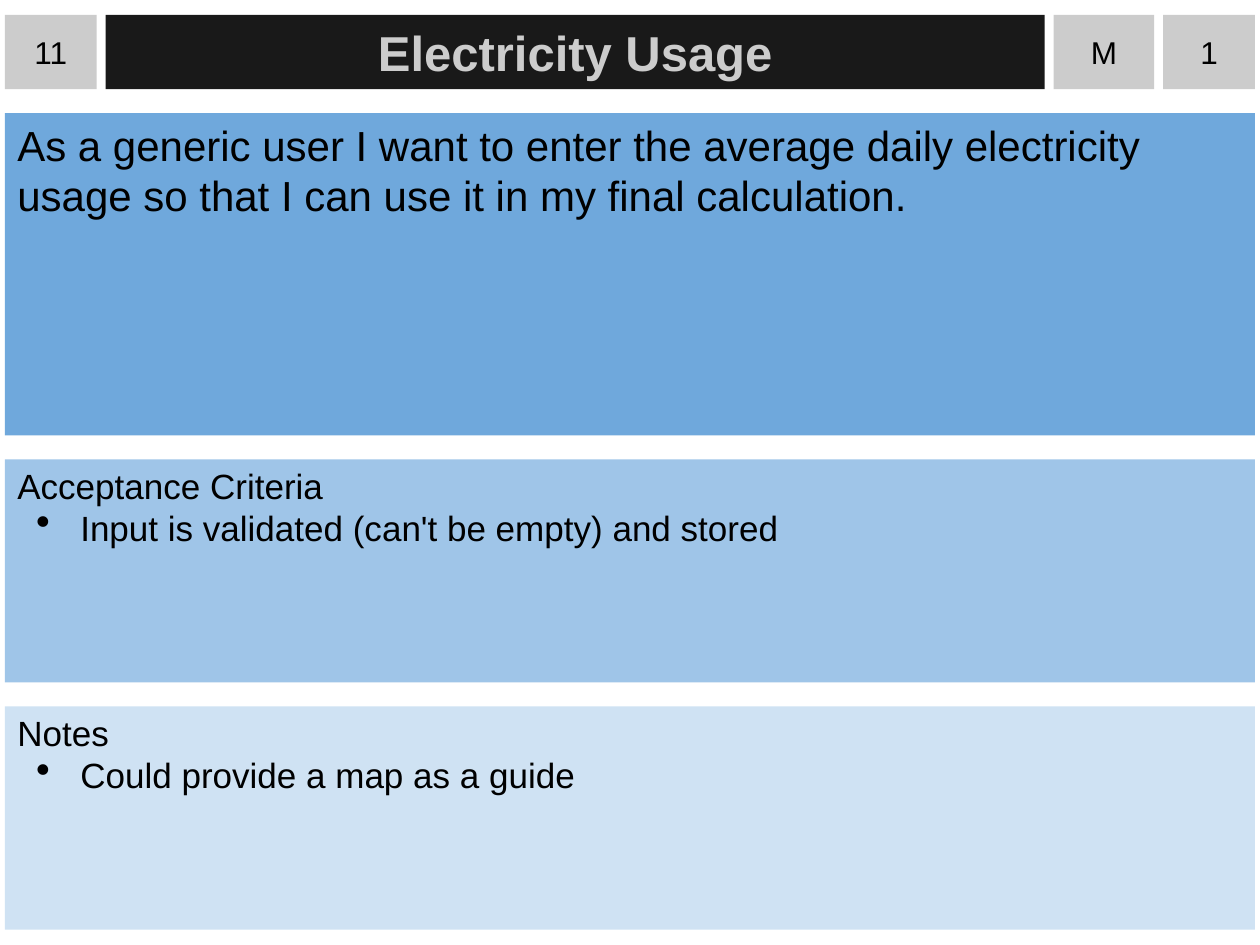
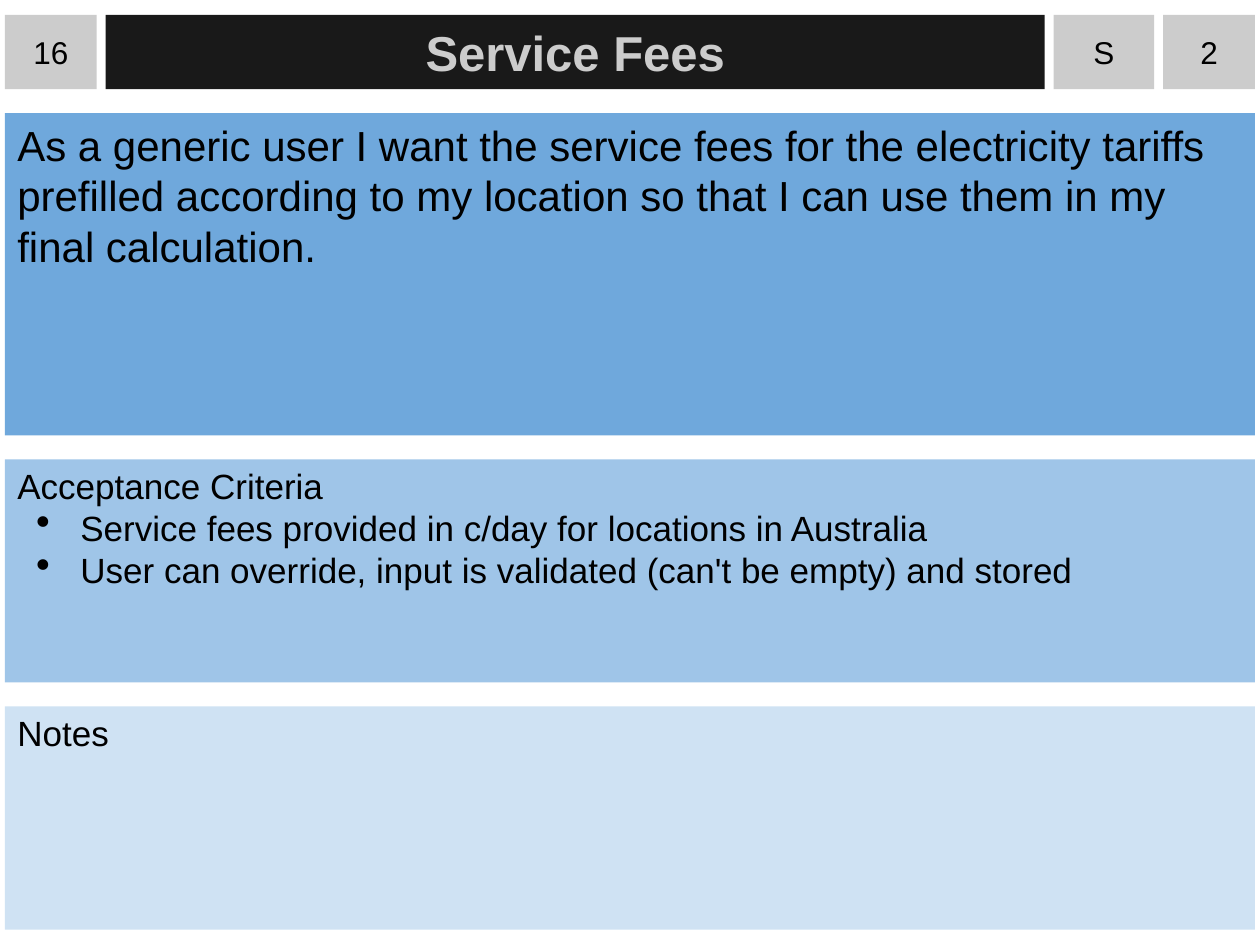
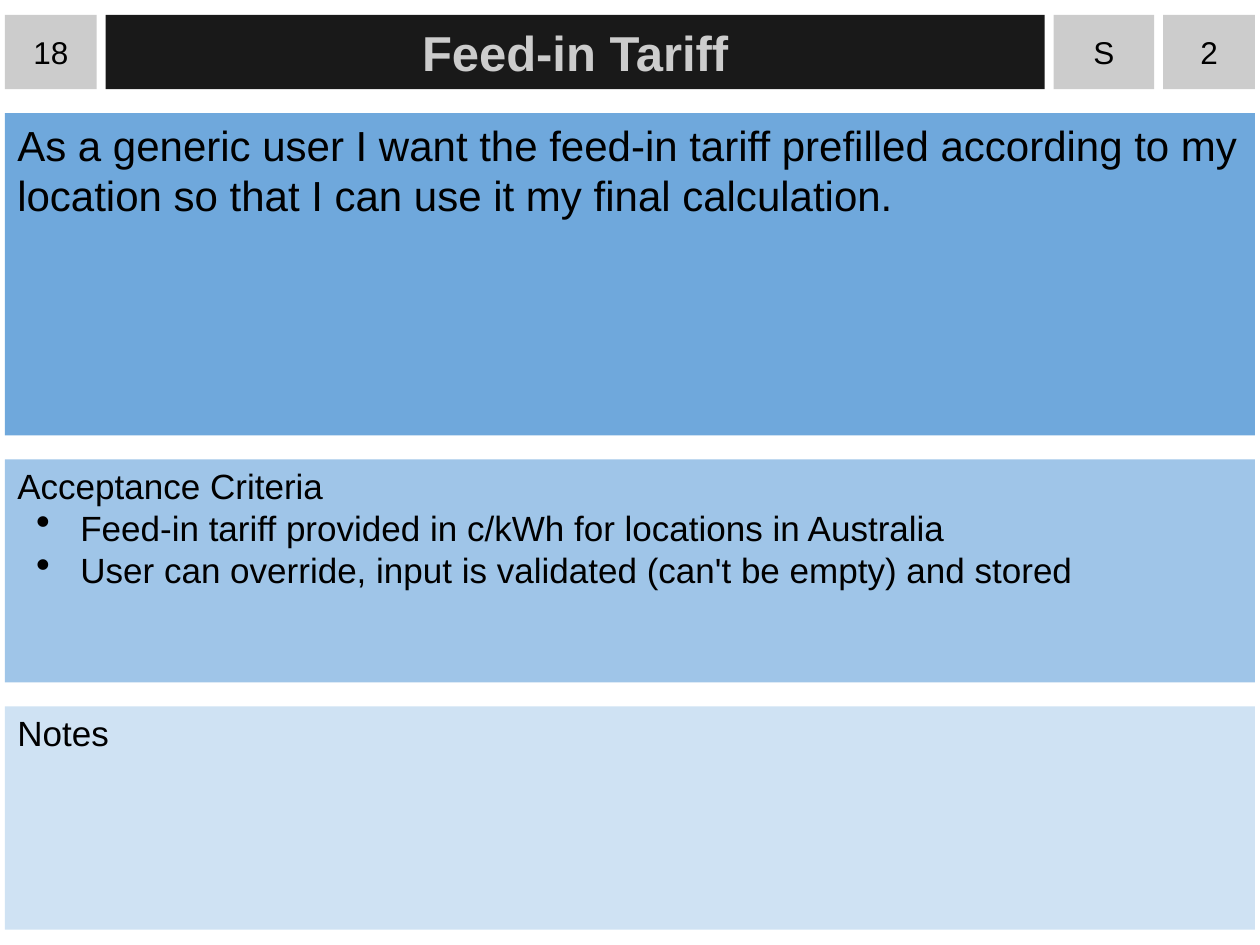
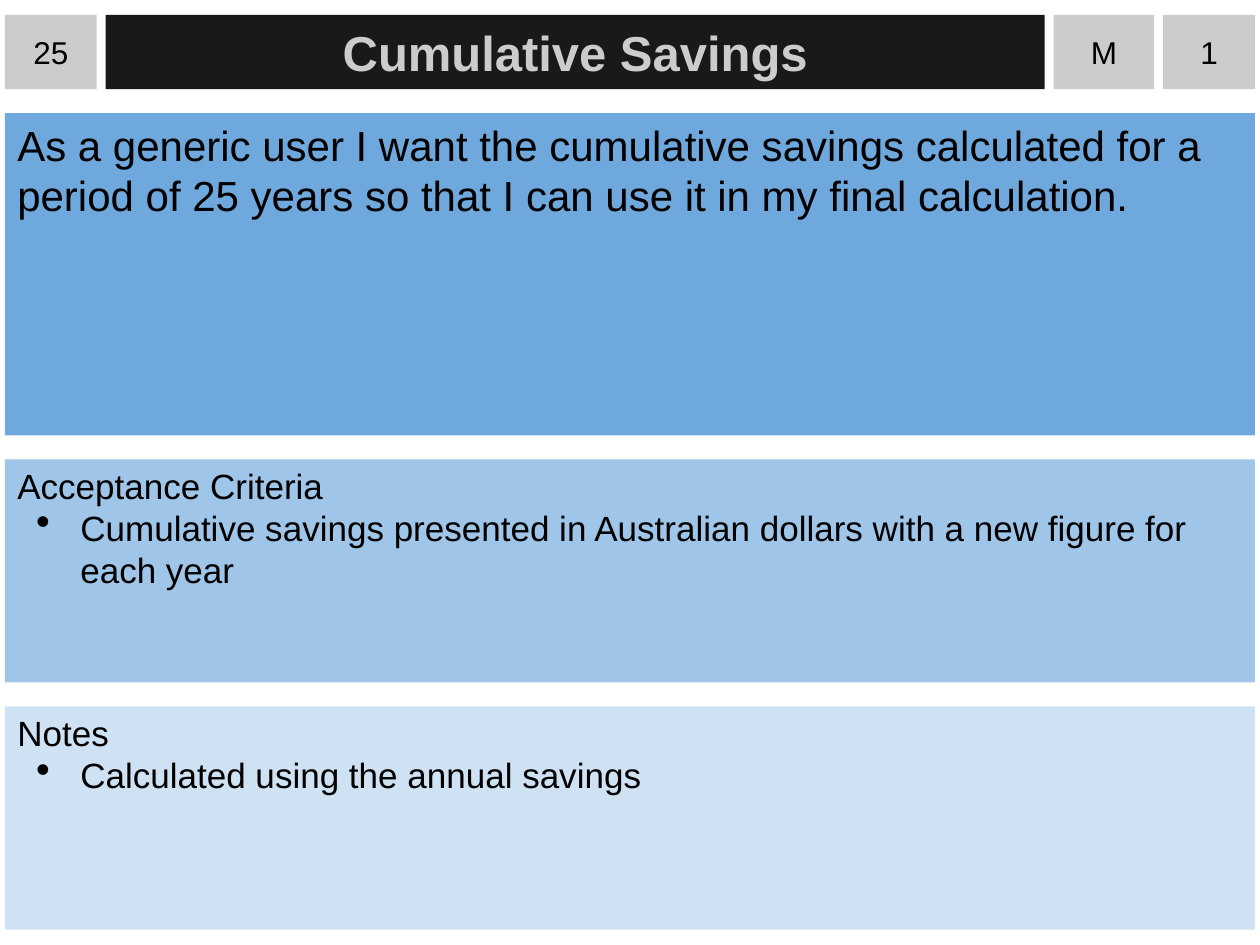
from lxml import etree
from pptx import Presentation
from pptx import util as u
from pptx.dml.color import RGBColor
from pptx.enum import shapes, text
from pptx.oxml import ns

FONT = "Arial"
BLACK, GREY, DARK = "000000", "CCCCCC", "191919"
STORY_BLUE, CRITERIA_BLUE, NOTES_BLUE = "6FA8DC", "9FC5E8", "CFE2F3"
MARGIN, TOP, WIDTH = 0.1, 0.3, 25.2
COLUMN_GAP, ROW_GAP = 0.18, 0.48
HEADER_H, STORY_H, LIST_H = 1.5, 6.5, 4.5
ID_W, TITLE_W, SIZE_W, PRIORITY_W = 1.85, 18.93, 2.03, 1.85

OVERRIDE = "User can override, input is validated (can't be empty) and stored"
CARDS = [
    ("11", "Electricity Usage", "M", "1",
     "As a generic user I want to enter the average daily electricity usage "
     "so that I can use it in my final calculation.",
     ["Input is validated (can't be empty) and stored"],
     ["Could provide a map as a guide"]),
    ("16", "Service Fees", "S", "2",
     "As a generic user I want the service fees for the electricity tariffs "
     "prefilled according to my location so that I can use them in my final calculation.",
     ["Service fees provided in c/day for locations in Australia", OVERRIDE],
     []),
    ("18", "Feed-in Tariff", "S", "2",
     "As a generic user I want the feed-in tariff prefilled according to my "
     "location so that I can use it my final calculation.",
     ["Feed-in tariff provided in c/kWh for locations in Australia", OVERRIDE],
     []),
    ("25", "Cumulative Savings", "M", "1",
     "As a generic user I want the cumulative savings calculated for a period "
     "of 25 years so that I can use it in my final calculation.",
     ["Cumulative savings presented in Australian dollars with a new figure for each year"],
     ["Calculated using the annual savings"]),
]


def rgb(value):
    """Turn a hex string into a colour."""
    return RGBColor.from_string(value)


def add_panel(s, box, fill, anchor=text.MSO_ANCHOR.TOP, side=0.25, top=0.13):
    """Draw a filled rectangle and return its text frame."""
    sp = s.shapes.add_shape(shapes.MSO_SHAPE.RECTANGLE, *map(u.Cm, box))
    sp.shadow.inherit = False
    sp.fill.solid()
    sp.fill.fore_color.rgb = rgb(fill)
    sp.line.fill.background()
    tf = sp.text_frame
    tf.word_wrap = True
    tf.auto_size = text.MSO_AUTO_SIZE.SHAPE_TO_FIT_TEXT
    tf.vertical_anchor = anchor
    tf.margin_left = tf.margin_right = u.Cm(side)
    tf.margin_top, tf.margin_bottom = u.Cm(top), u.Cm(0.13)
    return tf


def write(p, words, size, color=BLACK, bold=False, align=text.PP_ALIGN.LEFT):
    """Add one formatted run to a paragraph."""
    p.alignment = align
    r = p.add_run()
    r.text = words
    r.font.name, r.font.size, r.font.bold = FONT, u.Pt(size), bold
    r.font.color.rgb = rgb(color)


def add_bullet(p):
    """Give a paragraph a hanging round bullet."""
    pPr = p._p.get_or_add_pPr()
    pPr.set("marL", str(u.Cm(1.27)))
    pPr.set("indent", str(u.Cm(-0.89)))
    color = etree.SubElement(pPr, ns.qn("a:buClr"))
    etree.SubElement(color, ns.qn("a:srgbClr"), val=BLACK)
    etree.SubElement(pPr, ns.qn("a:buSzPct"), val="117000")
    etree.SubElement(pPr, ns.qn("a:buChar"), char="•")


def add_header(s, box, number, title, size, priority):
    """Lay out the number, title, size and priority in one row."""
    x, y, _, h = box
    cells = [(number, ID_W), (title, TITLE_W), (size, SIZE_W), (priority, PRIORITY_W)]
    for words, w in cells:
        is_title = words == title
        tf = add_panel(s, (x, y, w, h), DARK if is_title else GREY,
                       text.MSO_ANCHOR.MIDDLE, 0.25 if is_title else 0)
        write(tf.paragraphs[0], words, 28 if is_title else 18,
              GREY if is_title else BLACK, is_title, text.PP_ALIGN.CENTER)
        x += w + COLUMN_GAP


def add_story(s, box, story):
    """Draw the user story panel."""
    write(add_panel(s, box, STORY_BLUE).paragraphs[0], story, 24)


def add_list(s, box, fill, heading, items):
    """Draw a panel with a heading and bulleted items."""
    tf = add_panel(s, box, fill, top=0.1)
    write(tf.paragraphs[0], heading, 20)
    for item in items:
        p = tf.add_paragraph()
        add_bullet(p)
        write(p, item, 20)


def add_card(prs, number, title, size, priority, story, criteria, notes):
    """Build one story card slide from stacked rows."""
    s = prs.slides.add_slide(prs.slide_layouts[6])
    boxes, y = [], TOP
    for h in (HEADER_H, STORY_H, LIST_H, LIST_H):
        boxes.append((MARGIN, y, WIDTH, h))
        y += h + ROW_GAP
    add_header(s, boxes[0], number, title, size, priority)
    add_story(s, boxes[1], story)
    add_list(s, boxes[2], CRITERIA_BLUE, "Acceptance Criteria", criteria)
    add_list(s, boxes[3], NOTES_BLUE, "Notes", notes)


def main():
    """Build and save the deck of story cards."""
    prs = Presentation()
    prs.slide_width, prs.slide_height = u.Cm(25.4), u.Cm(19.05)
    for card in CARDS:
        add_card(prs, *card)
    prs.save("out.pptx")


if __name__ == "__main__":
    main()
